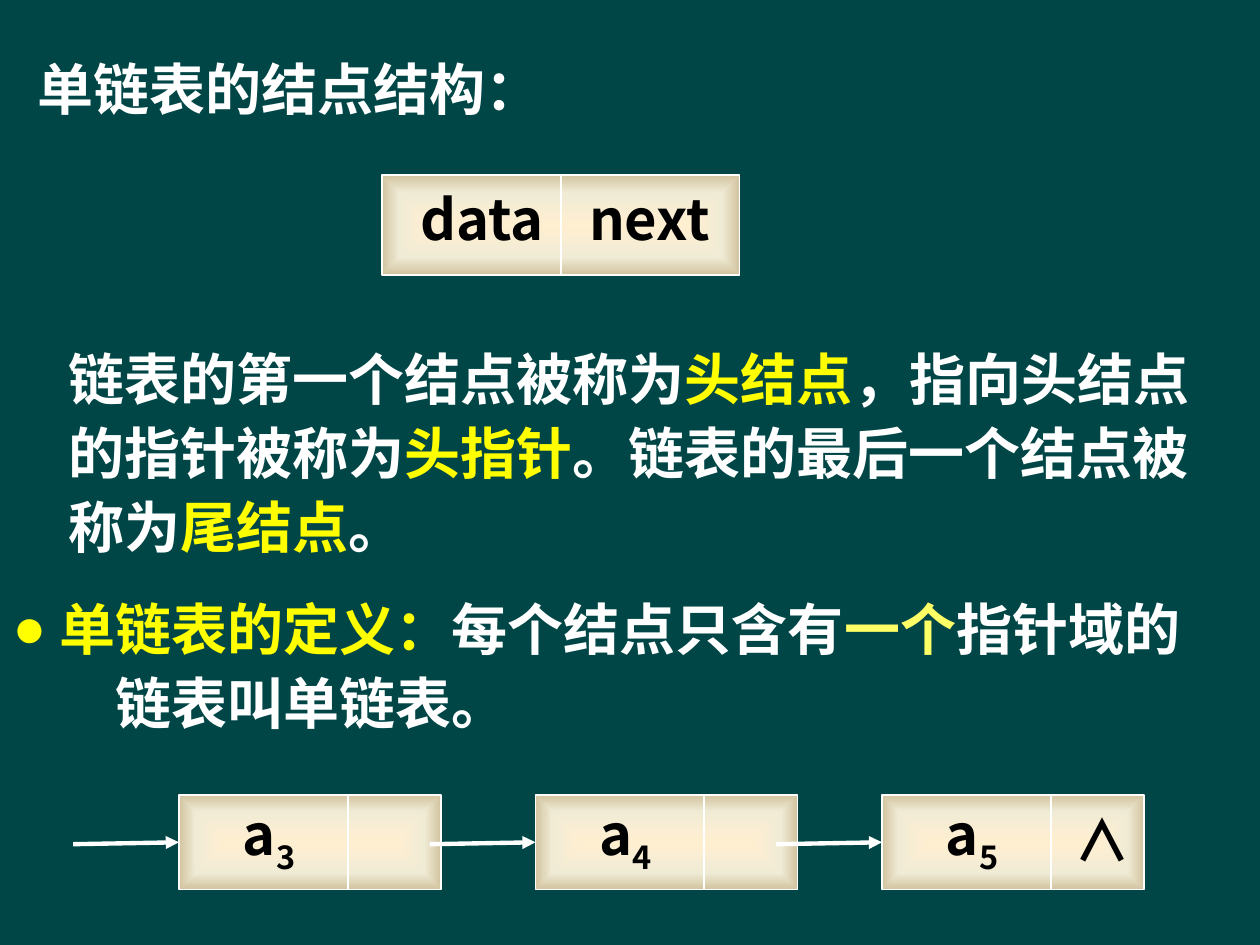
from dataclasses import dataclass

import pptx
import pptx.dml.color
import pptx.enum.shapes
import pptx.enum.text
import pptx.oxml
import pptx.oxml.ns
import pptx.util
from lxml import etree

PX = 9144
FONT = "Noto Sans CJK SC"
COLORS = {
    "board": "004646", "white": "FFFFFF", "black": "000000",
    "term": "FFFF00", "accent": "FFFF66",
    "center": "FFEFD1", "cream": "F0EBD5", "edge": "D1C39F",
}
ALIGN = pptx.enum.text.PP_ALIGN
NODE_HEIGHT = 75
ARROW_LENGTH = 84


@dataclass
class Run:
    text: str
    color: str = "white"
    subscript: bool = False
    new_line: bool = False


@dataclass
class Node:
    left: int
    top: int
    width: int
    height: int
    divider: int


def px(length: int) -> int:
    return pptx.util.Emu(length * PX)


def rgb(name: str):
    return pptx.dml.color.RGBColor.from_string(COLORS[name])


def drawing(tag: str, parent, **attributes):
    return etree.SubElement(parent, pptx.oxml.ns.qn(f"a:{tag}"), **attributes)


def write(shape, runs: list[Run], *, align=ALIGN.LEFT, spacing: float = 40,
          before: float = 0, margin: int = 0, indent: int = 0,
          bullet: str = "", append: bool = False) -> None:
    frame = shape.text_frame
    paragraph = frame.add_paragraph() if append else frame.paragraphs[0]
    paragraph.alignment = align
    paragraph.line_spacing = pptx.util.Pt(spacing)
    paragraph.space_before = pptx.util.Pt(before)
    properties = paragraph._p.get_or_add_pPr()
    properties.set("marL", str(px(margin)))
    properties.set("indent", str(px(indent)))
    if bullet:
        drawing("srgbClr", drawing("buClr", properties), val=COLORS["term"])
        drawing("buFont", properties, typeface="Arial")
        drawing("buChar", properties, char=bullet)
    else:
        drawing("buNone", properties)
    for part in runs:
        if part.new_line:
            paragraph.add_line_break()
        run = paragraph.add_run()
        run.text = part.text
        run.font.size = pptx.util.Pt(32)
        run.font.bold = True
        run.font.color.rgb = rgb(part.color)
        run.font.name = FONT
        run_properties = run._r.get_or_add_rPr()
        drawing("ea", run_properties, typeface=FONT)
        if part.subscript:
            run_properties.set("baseline", "-25000")


def place(shape, left: int, top: int, width: int, height: int, inset: int = 10) -> None:
    shape.left, shape.top, shape.width, shape.height = map(px, (left, top, width, height))
    frame = shape.text_frame
    frame.word_wrap = True
    frame.auto_size = pptx.enum.text.MSO_AUTO_SIZE.NONE
    frame.vertical_anchor = pptx.enum.text.MSO_ANCHOR.TOP
    frame.margin_left = frame.margin_right = px(inset)
    frame.margin_top = frame.margin_bottom = 0


def add_label(slide, runs: list[Run], left: int, top: int, width: int, spacing: float) -> None:
    label = slide.shapes.add_textbox(0, 0, 0, 0)
    place(label, left, top, width, 53)
    write(label, runs, align=ALIGN.CENTER, spacing=spacing)


def add_line(slide, start: tuple[int, int], end: tuple[int, int], weight: float = 1):
    line = slide.shapes.add_connector(
        pptx.enum.shapes.MSO_CONNECTOR.STRAIGHT, *map(px, start + end))
    line.line.color.rgb = rgb("white")
    line.line.width = pptx.util.Pt(weight)
    drawing("effectLst", line._element.spPr)
    return line


def fill_with_glow(shape) -> None:
    stops = "".join(
        f'<a:gs pos="{position}"><a:srgbClr val="{COLORS[name]}"/></a:gs>'
        for position, name in ((0, "center"), (65000, "cream"), (100000, "edge")))
    gradient = pptx.oxml.parse_xml(
        f'<a:gradFill {pptx.oxml.ns.nsdecls("a")} rotWithShape="1"><a:gsLst>{stops}</a:gsLst>'
        '<a:path path="shape"><a:fillToRect l="50000" t="50000" r="50000" b="50000"/>'
        '</a:path></a:gradFill>')
    shape.fill.background()
    properties = shape._element.spPr
    properties.replace(properties.find(pptx.oxml.ns.qn("a:noFill")), gradient)


def add_node(slide, node: Node):
    cell = slide.shapes.add_shape(
        pptx.enum.shapes.MSO_SHAPE.RECTANGLE,
        *map(px, (node.left, node.top, node.width, node.height)))
    cell.shadow.inherit = False
    cell.line.color.rgb = rgb("white")
    cell.line.width = pptx.util.Pt(1)
    fill_with_glow(cell)
    x = node.left + node.divider
    divider = add_line(slide, (x, node.top), (x, node.top + node.height))
    if node.divider * 2 == node.width:
        divider.begin_connect(cell, 0)
        divider.end_connect(cell, 2)
    return cell


def add_pointer(slide, target, node: Node) -> None:
    pointer = add_line(slide, (node.left - ARROW_LENGTH, 670), (node.left, 668), 2.5)
    pointer.end_connect(target, 1)
    drawing("tailEnd", pointer.line._get_or_add_ln(), type="triangle")


def main() -> None:
    deck = pptx.Presentation()
    deck.slide_width, deck.slide_height = px(1000), px(750)
    slide = deck.slides.add_slide(deck.slide_layouts[1])
    slide.background.fill.solid()
    slide.background.fill.fore_color.rgb = rgb("board")

    heading, definitions = slide.placeholders
    place(heading, 20, 41, 960, 60)
    write(heading, [Run("单链表的结点结构：")])

    place(definitions, 0, 268, 960, 330)
    write(definitions, [
        Run("链表的第一个结点被称为"), Run("头结点", "term"),
        Run("，指向头结点的指针被称为"), Run("头指针", "term"),
        Run("。链表的最后一个结点被称为"), Run("尾结点", "term"), Run("。"),
    ], spacing=42.3, margin=44)
    write(definitions, [
        Run("单链表的定义：", "term"), Run("每个结点只含有"), Run("一个", "accent"),
        Run("指针域的"), Run("　链表叫单链表。", new_line=True),
    ], spacing=42.3, before=16, margin=37, indent=-37, bullet="●", append=True)

    add_node(slide, Node(303, 139, 284, 79, 142))
    for field, left in (("data", 320), ("next", 453)):
        add_label(slide, [Run(field, "black")], left, 152, 125, 34.6)

    chain = [Node(left, 631, 208, NODE_HEIGHT, 134) for left in (142, 425, 700)]
    cells = [add_node(slide, node) for node in chain]
    for index, (node, cell) in enumerate(zip(chain, cells), start=3):
        add_label(slide, [Run("a", "black"), Run(str(index), "black", subscript=True)],
                  node.left + 9, 647, 125, 34.6)
        add_pointer(slide, cell, node)
    add_label(slide, [Run("∧", "black")], 825, 636, 100, 41)

    deck.save("out.pptx")


if __name__ == "__main__":
    main()
